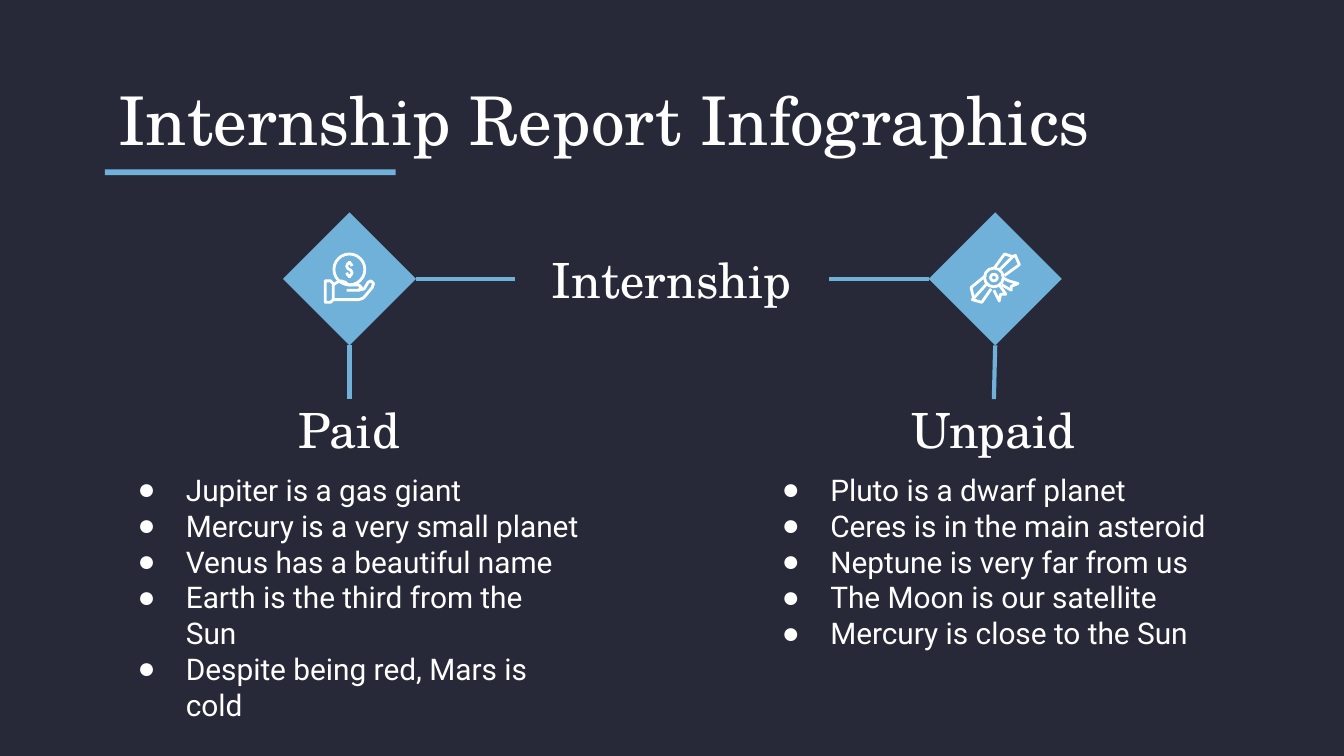
from lxml import etree
from pptx import Presentation, util as u
from pptx.dml.color import RGBColor
from pptx.enum import shapes, text
from pptx.oxml.ns import qn

NAVY = RGBColor(0x28, 0x29, 0x38)
BLUE = RGBColor(0x70, 0xB1, 0xDA)
WHITE = RGBColor(0xFF, 0xFF, 0xFF)
SERIF, SANS, BULLET = "TeX Gyre Schola", "Roboto", "Arial"
PX = 4572  # EMU per px, 200 px to the inch
GRID = 2 * PX  # one unit of the icon grid
SHAPE = shapes.MSO_SHAPE

# Icon strokes on a grid of 38 units: lists of open outlines
HAND = [
    [(1, 21), (5, 21), (7, 23), (7, 35), (5, 37), (1, 37), (1, 21)],
    [(7, 24), (10, 22), (13, 21), (16, 22), (18, 24), (26, 24), (28, 26),
     (26, 28), (17, 28)],
    [(26, 28), (30, 27), (33, 22), (35, 21), (37, 23), (36, 26), (31, 32),
     (29, 34), (26, 35), (7, 35)],
]
DOLLAR = [
    [(21, 10), (20, 8), (18, 8), (17, 10), (18, 12), (20, 13), (21, 15),
     (20, 17), (18, 17), (17, 15)],
    [(19, 6), (19, 8)],
    [(19, 17), (19, 19)],
]
DIPLOMA = [
    [(18, 12), (26, 1), (32, 3), (34, 2), (37, 9), (26, 17)],
    [(32, 3), (22, 13)],
    [(12, 17), (1, 26), (3, 34), (2, 35), (9, 37), (16, 27)],
    [(3, 34), (13, 23)],
    [(25, 19), (29, 21), (36, 23), (31, 25), (31, 28), (24, 24)],
    [(22, 24), (27, 31), (23, 31), (22, 36), (18, 28)],
]


def px(*values):
    return [v * PX for v in values]


def add_text(sp, lines, size, font=SERIF, align=text.PP_ALIGN.LEFT,
             anchor=text.MSO_ANCHOR.MIDDLE, bullets=False):
    tf = sp.text_frame
    tf.word_wrap = True
    tf.vertical_anchor = anchor
    tf.margin_left = tf.margin_top = tf.margin_right = tf.margin_bottom = 20 * PX
    for i, line in enumerate(lines):
        p = tf.paragraphs[0] if i == 0 else tf.add_paragraph()
        p.alignment = align
        r = p.add_run()
        r.text = line
        r.font.size, r.font.name = u.Pt(size), font
        r.font.color.rgb = WHITE
        if bullets:
            add_bullet(p)


def add_bullet(p):
    pPr = p._p.get_or_add_pPr()
    pPr.set("marL", str(100 * PX))
    pPr.set("indent", str(-72 * PX))
    clr = etree.SubElement(pPr, qn("a:buClr"))
    etree.SubElement(clr, qn("a:srgbClr"), val=str(WHITE))
    etree.SubElement(pPr, qn("a:buFont"), typeface=BULLET)
    etree.SubElement(pPr, qn("a:buChar"), char="●")


def add_shape(s, kind, box, fill=None, line=None):
    sp = s.shapes.add_shape(kind, *px(*box))
    paint(sp, fill, line)
    return sp


def paint(sp, fill=None, line=None):
    sp.shadow.inherit = False
    if fill is None:
        sp.fill.background()
    else:
        sp.fill.solid()
        sp.fill.fore_color.rgb = fill
    if line is None:
        sp.line.fill.background()
    else:
        sp.line.color.rgb = line
        sp.line.width = u.Pt(1.5)


def add_strokes(s, x, y, outlines):
    fb = s.shapes.build_freeform(*outlines[0][0], scale=GRID)
    for i, (start, *rest) in enumerate(outlines):
        if i:
            fb.move_to(*start)
        fb.add_line_segments(rest, close=False)
    paint(fb.convert_to_shape(*px(x, y)), line=WHITE)


def add_ring(s, cx, cy, radius):
    add_shape(s, SHAPE.OVAL, (cx - radius, cy - radius, 2 * radius, 2 * radius),
              line=WHITE)


def join(s, start, start_site, end, end_site):
    c = s.shapes.add_connector(shapes.MSO_CONNECTOR.STRAIGHT, 0, 0, 0, 0)
    c.begin_connect(start, start_site)
    c.end_connect(end, end_site)
    c.line.color.rgb = BLUE
    c.line.width = u.Pt(2.25)
    etree.SubElement(c._element.spPr, qn("a:effectLst"))


def label(s, box, words):
    sp = add_shape(s, SHAPE.ROUNDED_RECTANGLE, box)
    sp.adjustments[0] = 0
    add_text(sp, [words], 26, align=text.PP_ALIGN.CENTER)
    return sp


def coin_icon(s, x, y):
    add_ring(s, x + 38, y + 25, 23)
    add_strokes(s, x, y, HAND)
    add_strokes(s, x, y, DOLLAR)


def diploma_icon(s, x, y):
    add_strokes(s, x, y, DIPLOMA)
    add_ring(s, x + 36, y + 37, 14)
    add_ring(s, x + 36, y + 37, 5)


def header(s, x, y, w, h):
    add_shape(s, SHAPE.RECTANGLE, (x, y + 134, 433, 9), BLUE)
    add_text(s.shapes.add_textbox(*px(x + 1, y, w, h)),
             ["Internship Report Infographics"], 36)


def branch(s, x, y, w, heading, items, diamond_x, icon):
    """Diamond with icon, heading below it and a bulleted list."""
    body = s.shapes.add_textbox(*px(x, y + 366, w, 308))
    add_text(body, items, 16, SANS, anchor=text.MSO_ANCHOR.TOP, bullets=True)
    head = label(s, (x, y + 278, w, 88), heading)
    diamond = add_shape(s, SHAPE.DIAMOND, (diamond_x, y, 198, 198), BLUE)
    join(s, diamond, 2, head, 0)
    icon(s, diamond_x + 61, y + 60)
    return diamond


def main():
    prs = Presentation()
    prs.slide_width, prs.slide_height = px(2000, 1125)
    s = prs.slides.add_slide(prs.slide_layouts[6])
    s.background.fill.solid()
    s.background.fill.fore_color.rgb = NAVY

    # Title and underline
    header(s, 156, 118, 1688, 118)

    # The two branches
    paid = branch(s, 157, 316, 726, "Paid", [
        "Jupiter is a gas giant",
        "Mercury is a very small planet",
        "Venus has a beautiful name",
        "Earth is the third from the Sun",
        "Despite being red, Mars is cold",
    ], 421, coin_icon)
    unpaid = branch(s, 1116, 316, 726, "Unpaid", [
        "Pluto is a dwarf planet",
        "Ceres is in the main asteroid",
        "Neptune is very far from us",
        "The Moon is our satellite",
        "Mercury is close to the Sun",
    ], 1382, diploma_icon)

    # Centre label joined to both diamonds
    centre = label(s, (766, 371, 468, 88), "Internship")
    join(s, paid, 3, centre, 1)
    join(s, centre, 3, unpaid, 1)

    prs.save("out.pptx")


if __name__ == "__main__":
    main()
